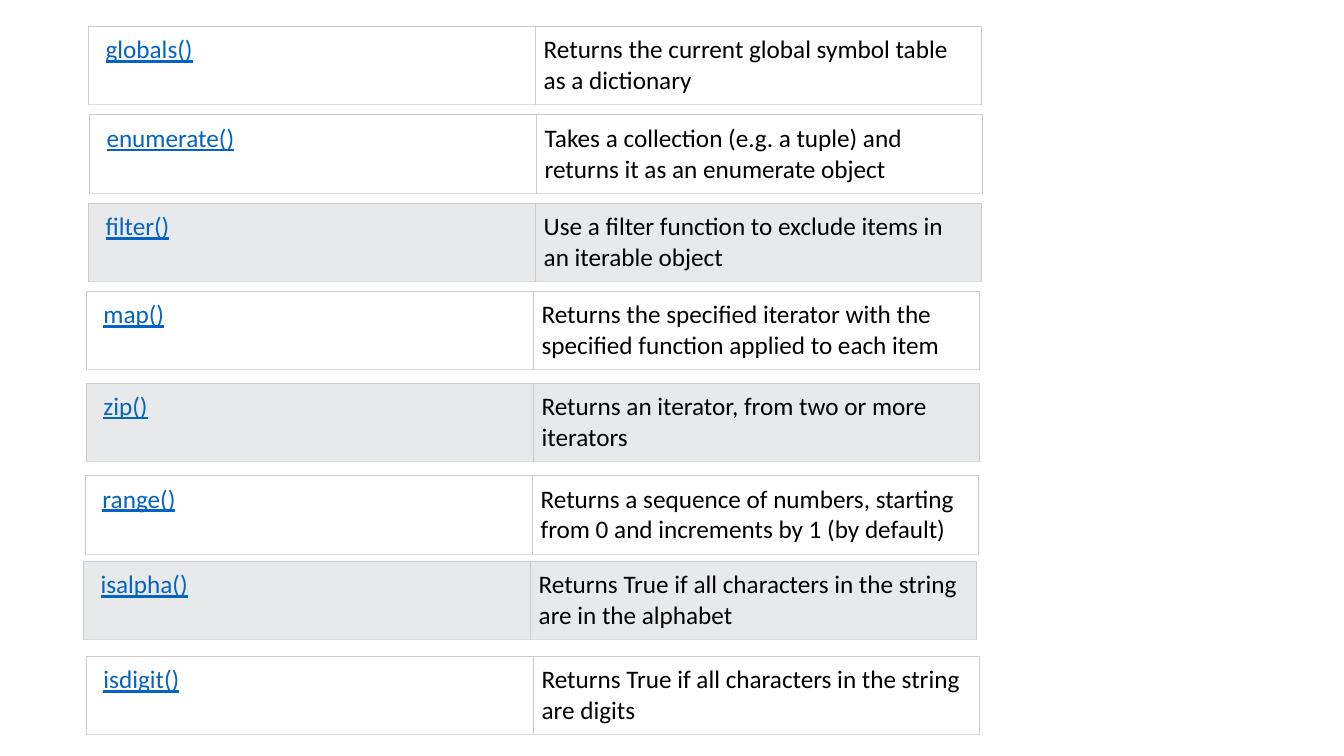
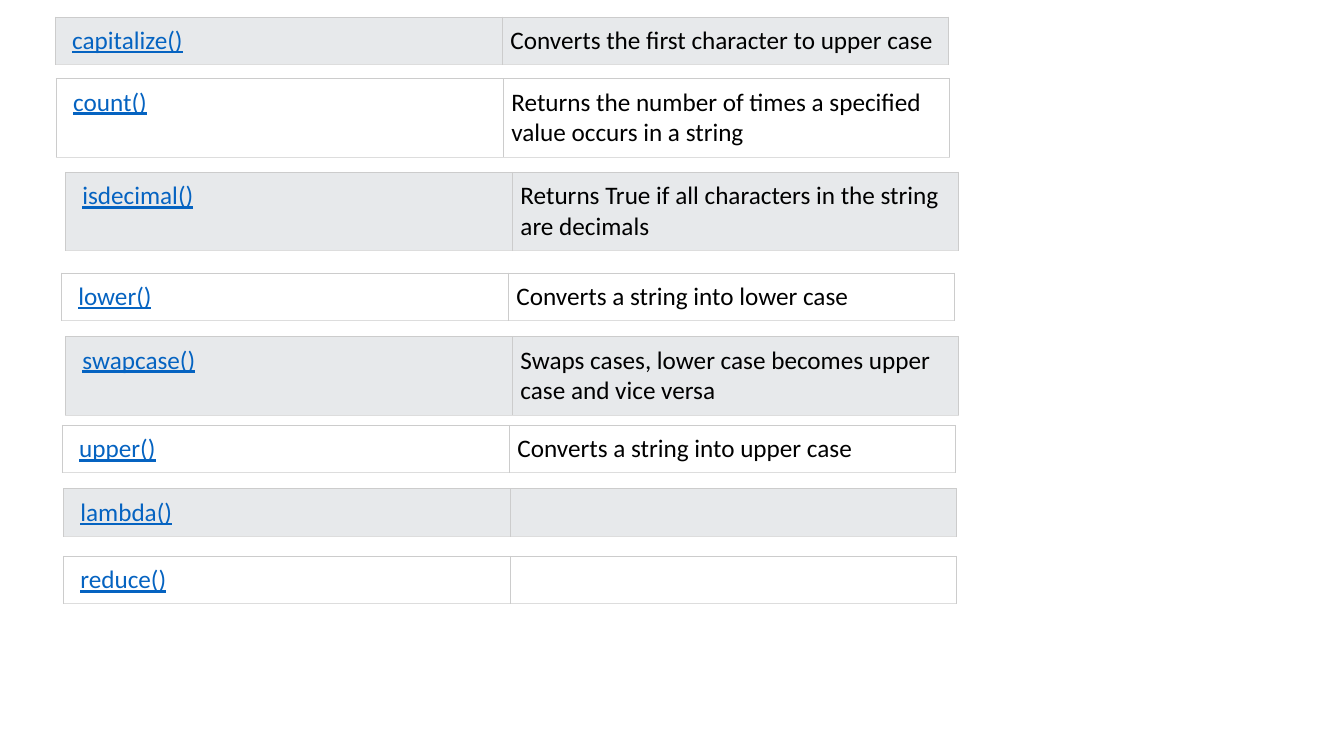
from dataclasses import dataclass

from pptx import Presentation
from pptx.dml.color import RGBColor
from pptx.enum import text
from pptx.oxml import xmlchemy
from pptx.slide import Slide
from pptx.table import _Cell
from pptx.util import Pt

# Shared look
FONT, FONT_SIZE = "Calibri", 18
LINK, BODY = "0563C1", "000000"
WHITE, SHADED = "FFFFFF", "E7E9EB"
BORDERS = {"lnL": "CCCCCC", "lnR": "CCCCCC", "lnT": "CCCCCC", "lnB": "DDDDDD"}
BORDER_WIDTH = 0.75
COLUMN_WIDTH = 319
ROW_HEIGHTS = {1: 33.8, 2: 55.4}
INSET, NAME_INSET = 6, 12


@dataclass(frozen=True)
class Entry:
    """One function of the reference, drawn as a one-row table."""
    left: float
    top: float
    name: str
    description: str
    lines: int = 2
    shaded: bool = False


SLIDES = [
    [
        Entry(63.4, 18.7, "globals()", "Returns the current global symbol table as a dictionary"),
        Entry(64.1, 82.1, "enumerate()",
              "Takes a collection (e.g. a tuple) and returns it as an enumerate object"),
        Entry(63.4, 145.4, "filter()",
              "Use a filter function to exclude items in an iterable object", shaded=True),
        Entry(61.9, 208.1, "map()",
              "Returns the specified iterator with the specified function applied to each item"),
        Entry(61.9, 273.6, "zip()", "Returns an iterator, from two or more iterators", shaded=True),
        Entry(61.2, 339.8, "range()",
              "Returns a sequence of numbers, starting from 0 and increments by 1 (by default)"),
        Entry(59.8, 401, "isalpha()",
              "Returns True if all characters in the string are in the alphabet", shaded=True),
        Entry(61.9, 468.7, "isdigit()", "Returns True if all characters in the string are digits"),
    ],
    [
        Entry(39.6, 12.2, "capitalize()", "Converts the first character to upper case", 1, True),
        Entry(40.3, 56.2, "count()",
              "Returns the number of times a specified value occurs in a string"),
        Entry(46.8, 123.1, "isdecimal()",
              "Returns True if all characters in the string are decimals", shaded=True),
        Entry(43.9, 195.1, "lower()", "Converts a string into lower case", 1),
        Entry(46.8, 240.5, "swapcase()",
              "Swaps cases, lower case becomes upper case and vice versa", shaded=True),
        Entry(44.6, 303.8, "upper()", "Converts a string into upper case", 1),
        Entry(45.4, 349.2, "lambda()", "", 1, True),
        Entry(45.4, 397.4, "reduce()", "", 1),
    ],
]


def rgb(value: str) -> RGBColor:
    return RGBColor.from_string(value)


def add_borders(cell: _Cell) -> None:
    properties = cell._tc.get_or_add_tcPr()
    for side, colour in BORDERS.items():
        line = xmlchemy.OxmlElement(f"a:{side}")
        line.set("w", str(Pt(BORDER_WIDTH)))
        fill = xmlchemy.OxmlElement("a:solidFill")
        shade = xmlchemy.OxmlElement("a:srgbClr")
        shade.set("val", colour)
        fill.append(shade)
        line.append(fill)
        properties.append(line)


def fill_cell(cell: _Cell, words: str, background: str, colour: str,
              left_inset: float, underline: bool) -> None:
    add_borders(cell)
    cell.fill.solid()
    cell.fill.fore_color.rgb = rgb(background)
    cell.margin_left = Pt(left_inset)
    cell.margin_top = cell.margin_right = cell.margin_bottom = Pt(INSET)
    cell.vertical_anchor = text.MSO_ANCHOR.TOP
    if words:
        cell.text = words
    font = cell.text_frame.paragraphs[0].font
    font.name, font.size = FONT, Pt(FONT_SIZE)
    font.color.rgb = rgb(colour)
    font.underline = underline


def add_entry(slide: Slide, entry: Entry) -> None:
    table = slide.shapes.add_table(
        1, 2, Pt(entry.left), Pt(entry.top),
        Pt(2 * COLUMN_WIDTH), Pt(ROW_HEIGHTS[entry.lines])).table
    table.first_row = table.horz_banding = False
    background = SHADED if entry.shaded else WHITE
    fill_cell(table.cell(0, 0), entry.name, background, LINK, NAME_INSET, True)
    fill_cell(table.cell(0, 1), entry.description, background, BODY, INSET, False)


def main() -> None:
    deck = Presentation()
    deck.slide_width, deck.slide_height = Pt(960), Pt(540)
    blank = deck.slide_layouts[6]
    for entries in SLIDES:
        slide = deck.slides.add_slide(blank)
        for entry in entries:
            add_entry(slide, entry)
    deck.save("out.pptx")


if __name__ == "__main__":
    main()
